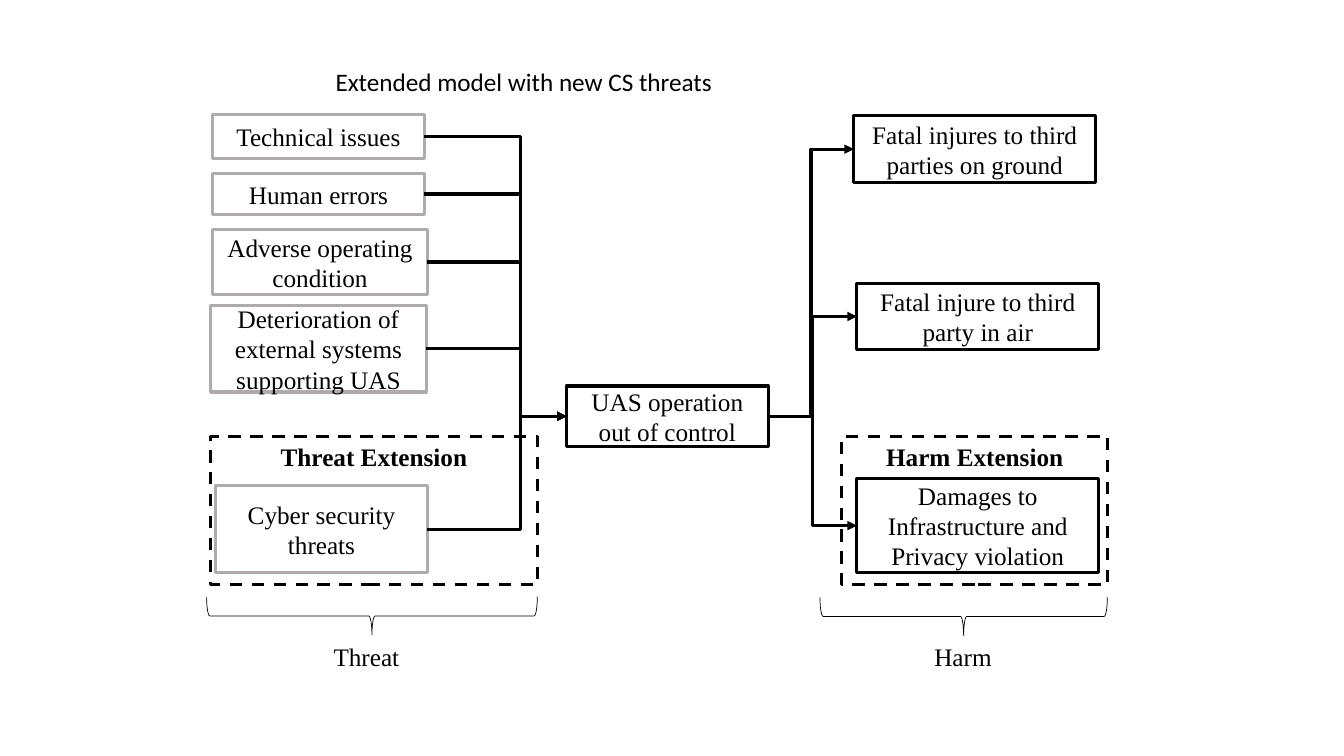
import lxml.etree
import pptx
import pptx.dml.color
import pptx.enum.dml
import pptx.enum.shapes
import pptx.enum.text
import pptx.oxml.ns
import pptx.util

COLORS = {"ink": "000000", "threat": "AFABAB"}
SHAPES = pptx.enum.shapes.MSO_SHAPE
ALIGN = pptx.enum.text.PP_ALIGN
ANCHOR = pptx.enum.text.MSO_ANCHOR
LEFT_SITE, RIGHT_SITE = 1, 3
COLUMNS, ROWS = 133.33, 75


def rgb(name):
    return pptx.dml.color.RGBColor.from_string(COLORS[name])


def add_xml(parent, tag, **attributes):
    return lxml.etree.SubElement(parent, pptx.oxml.ns.qn(tag), attributes)


def write(frame, text, font="Times New Roman", size=18, bold=False,
          align=ALIGN.CENTER, anchor=ANCHOR.MIDDLE, wrap=True):
    frame.word_wrap = wrap
    frame.vertical_anchor = anchor
    paragraph = frame.paragraphs[0]
    paragraph.alignment = align
    run = paragraph.add_run()
    run.text = text
    run.font.name = font
    run.font.size = pptx.util.Pt(size)
    run.font.bold = bold
    run.font.color.rgb = rgb("ink")


class RiskModel:
    def __init__(self, deck):
        self.slide = deck.slides.add_slide(deck.slide_layouts[6])
        self.column = deck.slide_width / COLUMNS
        self.row = deck.slide_height / ROWS
        self.stroke = 2.25

    def place(self, left, top, width, height):
        return (round(left * self.column), round(top * self.row),
                round(width * self.column), round(height * self.row))

    def outline(self, kind, area, color="ink", weight=None):
        shape = self.slide.shapes.add_shape(kind, *self.place(*area))
        shape.shadow.inherit = False
        shape.fill.background()
        shape.line.color.rgb = rgb(color)
        shape.line.width = pptx.util.Pt(weight or self.stroke)
        return shape

    def box(self, text, area, color="ink"):
        shape = self.outline(SHAPES.RECTANGLE, area, color)
        write(shape.text_frame, text)
        return shape

    def extension(self, text, area):
        shape = self.outline(SHAPES.RECTANGLE, area)
        shape.line.dash_style = pptx.enum.dml.MSO_LINE.DASH
        write(shape.text_frame, text, bold=True, anchor=ANCHOR.TOP)

    def brace(self, area):
        self.outline(SHAPES.LEFT_BRACE, area, weight=0.5).rotation = 270

    def label(self, text, area, **style):
        frame = self.slide.shapes.add_textbox(*self.place(*area)).text_frame
        write(frame, text, align=ALIGN.LEFT, anchor=ANCHOR.TOP, wrap=False, **style)
        frame.auto_size = pptx.enum.text.MSO_AUTO_SIZE.SHAPE_TO_FIT_TEXT

    def arrow(self, source, target, trunk=None):
        start, end = source.left + source.width, target.left
        link = self.slide.shapes.add_connector(
            pptx.enum.shapes.MSO_CONNECTOR.ELBOW,
            start, source.top + source.height // 2,
            end, target.top + target.height // 2)
        link.begin_connect(source, RIGHT_SITE)
        link.end_connect(target, LEFT_SITE)
        link.line.color.rgb = rgb("ink")
        link.line.width = pptx.util.Pt(self.stroke)
        add_xml(link.get_or_add_ln(), "a:tailEnd", type="triangle")
        properties = link._element.spPr
        add_xml(properties, "a:effectLst")
        if trunk:
            bend = round((trunk * self.column - start) / (end - start) * 100000)
            guides = properties.find(".//" + pptx.oxml.ns.qn("a:avLst"))
            add_xml(guides, "a:gd", name="adj1", fmla=f"val {bend}")


THREATS = [
    ("Technical issues", (21.1, 11.4, 21, 4.3)),
    ("Human errors", (21.1, 17.2, 21, 4.1)),
    ("Adverse operating condition", (21.1, 22.8, 21.3, 6.4)),
    ("Deterioration of external systems supporting UAS", (20.9, 30.3, 21.4, 8.6)),
    ("Cyber security threats", (21.4, 48.2, 21, 8.6)),
]
HARMS = [
    ("Fatal injures to third parties on ground", (84.7, 11.5, 24, 6.6)),
    ("Fatal injure to third party in air", (85, 28.1, 24, 6.6)),
    ("Damages to Infrastructure and Privacy violation", (85, 47.5, 24, 9.3)),
]
SIDES = [
    ("Threat", (20.9, 43.3, 32.4, 14.7), (35, 44.7, 3.8, 32.8), (32.1, 63.1, 8.7, 4)),
    ("Harm", (83.5, 43.3, 26.4, 14.7), (93.7, 46.9, 3.8, 28.5), (91.7, 63.1, 7.7, 4)),
]
THREAT_TRUNK = 51.6


def main():
    deck = pptx.Presentation()
    deck.slide_width = pptx.util.Inches(13.33)
    deck.slide_height = pptx.util.Inches(7.5)
    model = RiskModel(deck)
    model.label("Extended model with new CS threats", (32.3, 6.1, 39.8, 4), font="Calibri")
    hazard = model.box("UAS operation out of control", (56.2, 38.3, 20, 6))
    for text, area in THREATS:
        model.arrow(model.box(text, area, "threat"), hazard, THREAT_TRUNK)
    for text, area in HARMS:
        model.arrow(hazard, model.box(text, area))
    for side, frame, brace, caption in SIDES:
        model.extension(f"{side} Extension", frame)
        model.brace(brace)
        model.label(side, caption)
    deck.save("out.pptx")


if __name__ == "__main__":
    main()
